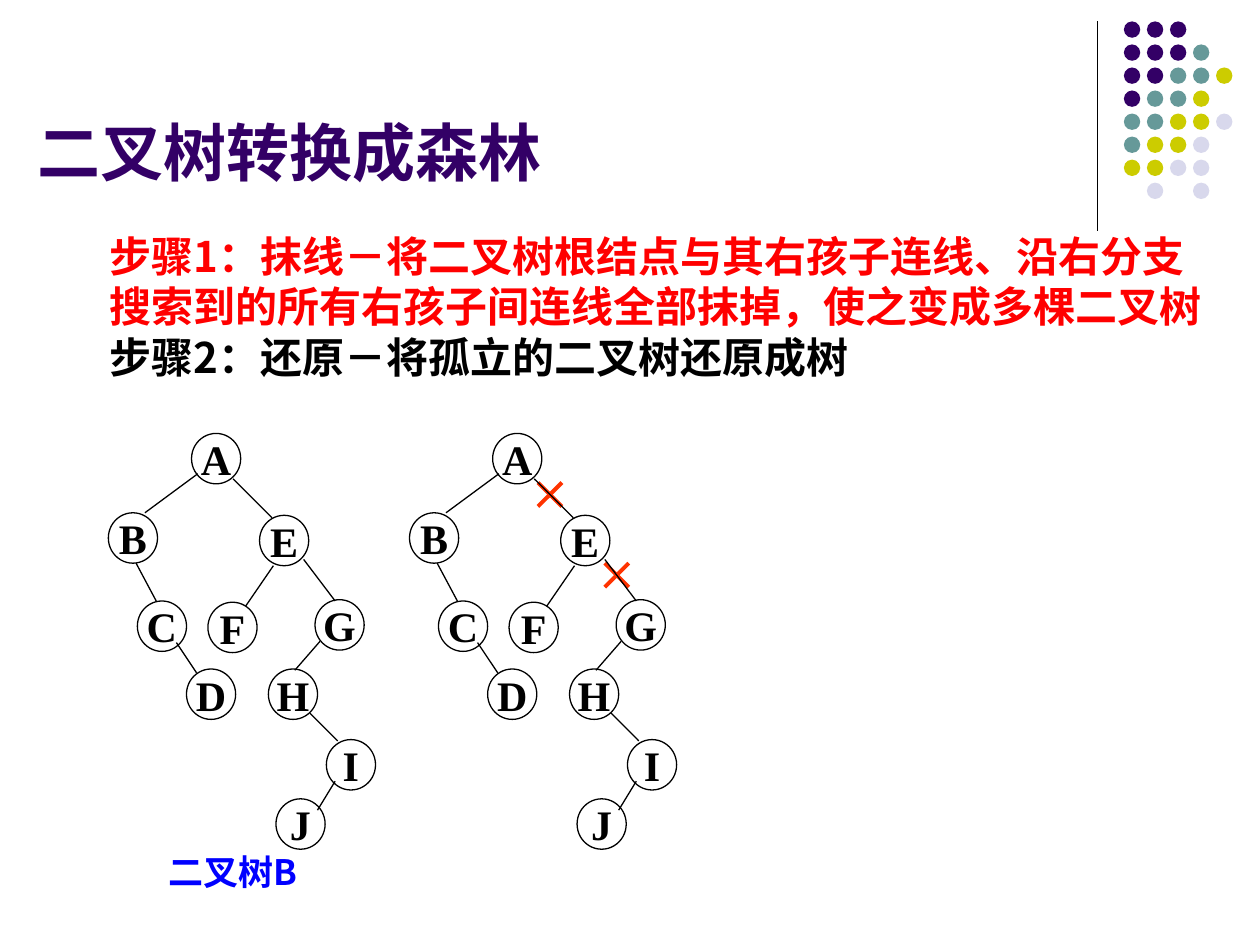
from lxml import etree
from pptx import Presentation
from pptx.dml import color
from pptx.enum import shapes, text
from pptx.oxml import ns
from pptx.util import Inches, Pt

SERIF = "Times New Roman"
SANS = "Noto Sans CJK SC"
DOT_COLOURS = {"P": "330066", "T": "669999", "Y": "CCCC00", "L": "D8D8EC"}
DOT_ROWS = ["PPP", "PPPT", "PPTTY", "PTTY", "TTYYL", "TYYL", "YYLL", " L L"]
DOT_PITCH = 1.28 / 7
NODES = {
    "A": (1.52, 3.44), "B": (0.86, 4.07), "C": (1.09, 4.77), "D": (1.48, 5.31),
    "E": (2.06, 4.09), "F": (1.65, 4.78), "G": (2.5, 4.76), "H": (2.13, 5.31),
    "I": (2.59, 5.87), "J": (2.19, 6.34),
}
EDGES = [
    (1.57, 3.76, 1.15, 4.07), (1.85, 3.8, 2.16, 4.11),
    (1.08, 4.47, 1.24, 4.77), (1.4, 5.1, 1.56, 5.34),
    (2.17, 4.49, 1.95, 4.81), (2.41, 4.44, 2.66, 4.77),
    (2.54, 5.09, 2.34, 5.32), (2.46, 5.66, 2.68, 5.88),
    (2.66, 6.2, 2.52, 6.43),
]
STEPS = [
    ("步骤1：抹线－将二叉树根结点与其右孩子连线、沿右分支搜索到的所有右孩子间连线全部抹掉，使之变成多棵二叉树", "FF0000"),
    ("步骤2：还原－将孤立的二叉树还原成树", "000000"),
]


def rgb(value):
    return color.RGBColor.from_string(value)


def add_span(para, words, font, size, colour):
    span = para.add_run()
    span.text = words
    span.font.name = font
    span.font.size = Pt(size)
    span.font.bold = True
    span.font.color.rgb = rgb(colour)
    east_asian = etree.SubElement(span._r.get_or_add_rPr(), ns.qn("a:ea"))
    east_asian.set("typeface", font)


def add_text(page, left, top, width, height, lines, font, size, indent=0, spacing=None,
             anchor=text.MSO_ANCHOR.TOP):
    box = page.shapes.add_textbox(Inches(left), Inches(top), Inches(width), Inches(height))
    frame = box.text_frame
    frame.word_wrap = True
    frame.vertical_anchor = anchor
    for index, (words, colour) in enumerate(lines):
        para = frame.add_paragraph() if index else frame.paragraphs[0]
        if indent:
            properties = para._p.get_or_add_pPr()
            properties.set("marL", str(Inches(indent)))
            properties.set("indent", "0")
        if spacing:
            para.line_spacing = Pt(spacing)
        add_span(para, words, font, size, colour)


def add_line(page, x1, y1, x2, y2, colour="000000", weight=0.75):
    line = page.shapes.add_connector(
        shapes.MSO_CONNECTOR.STRAIGHT, Inches(x1), Inches(y1), Inches(x2), Inches(y2))
    line.line.color.rgb = rgb(colour)
    line.line.width = Pt(weight)
    etree.SubElement(line._element.spPr, ns.qn("a:effectLst"))


def add_ellipse(page, left, top, width, height):
    ellipse = page.shapes.add_shape(
        shapes.MSO_SHAPE.OVAL, Inches(left), Inches(top), Inches(width), Inches(height))
    ellipse.shadow.inherit = False
    return ellipse


def add_dots(page):
    for row, marks in enumerate(DOT_ROWS):
        for column, mark in enumerate(marks):
            if mark in DOT_COLOURS:
                dot = add_ellipse(page, 8.92 + column * DOT_PITCH, 0.17 + row * DOT_PITCH, 0.13, 0.13)
                dot.fill.solid()
                dot.fill.fore_color.rgb = rgb(DOT_COLOURS[mark])
                dot.line.fill.background()


def add_node(page, letter, left, top):
    node = add_ellipse(page, left, top, 0.39, 0.4)
    node.fill.background()
    node.line.color.rgb = rgb("000000")
    node.line.width = Pt(0.75)
    frame = node.text_frame
    frame.word_wrap = False
    frame.vertical_anchor = text.MSO_ANCHOR.MIDDLE
    para = frame.paragraphs[0]
    para.alignment = text.PP_ALIGN.CENTER
    add_span(para, letter, SERIF, 24, "000000")


def add_tree(page, shift):
    for letter, (left, top) in NODES.items():
        add_node(page, letter, left + shift, top)
    for x1, y1, x2, y2 in EDGES:
        add_line(page, x1 + shift, y1, x2 + shift, y2)


def add_cross(page, left, top, size=0.19):
    right, bottom = left + size, top + size
    add_line(page, left, top, right, bottom, "FF3300", 2.25)
    add_line(page, right, top, left, bottom, "FF3300", 2.25)


def main():
    deck = Presentation()
    deck.slide_width, deck.slide_height = Inches(10), Inches(7.5)
    page = deck.slides.add_slide(deck.slide_layouts[6])
    add_line(page, 8.71, 0.17, 8.71, 1.83)
    add_dots(page)
    add_text(page, 0.2, 0.13, 8.25, 1.42, [("二叉树转换成森林", "330066")], "Arial", 36,
             anchor=text.MSO_ANCHOR.BOTTOM)
    add_text(page, 0.27, 1.78, 9.45, 1.3, STEPS, SANS, 24, indent=0.5, spacing=28.8)
    add_cross(page, 4.27, 3.83)
    add_cross(page, 4.8, 4.47)
    add_text(page, 1.24, 6.7, 1.5, 0.44, [("二叉树B", "0000FF")], SANS, 20, spacing=24)
    for shift in (0, 2.39):
        add_tree(page, shift)
    deck.save("out.pptx")


if __name__ == "__main__":
    main()
